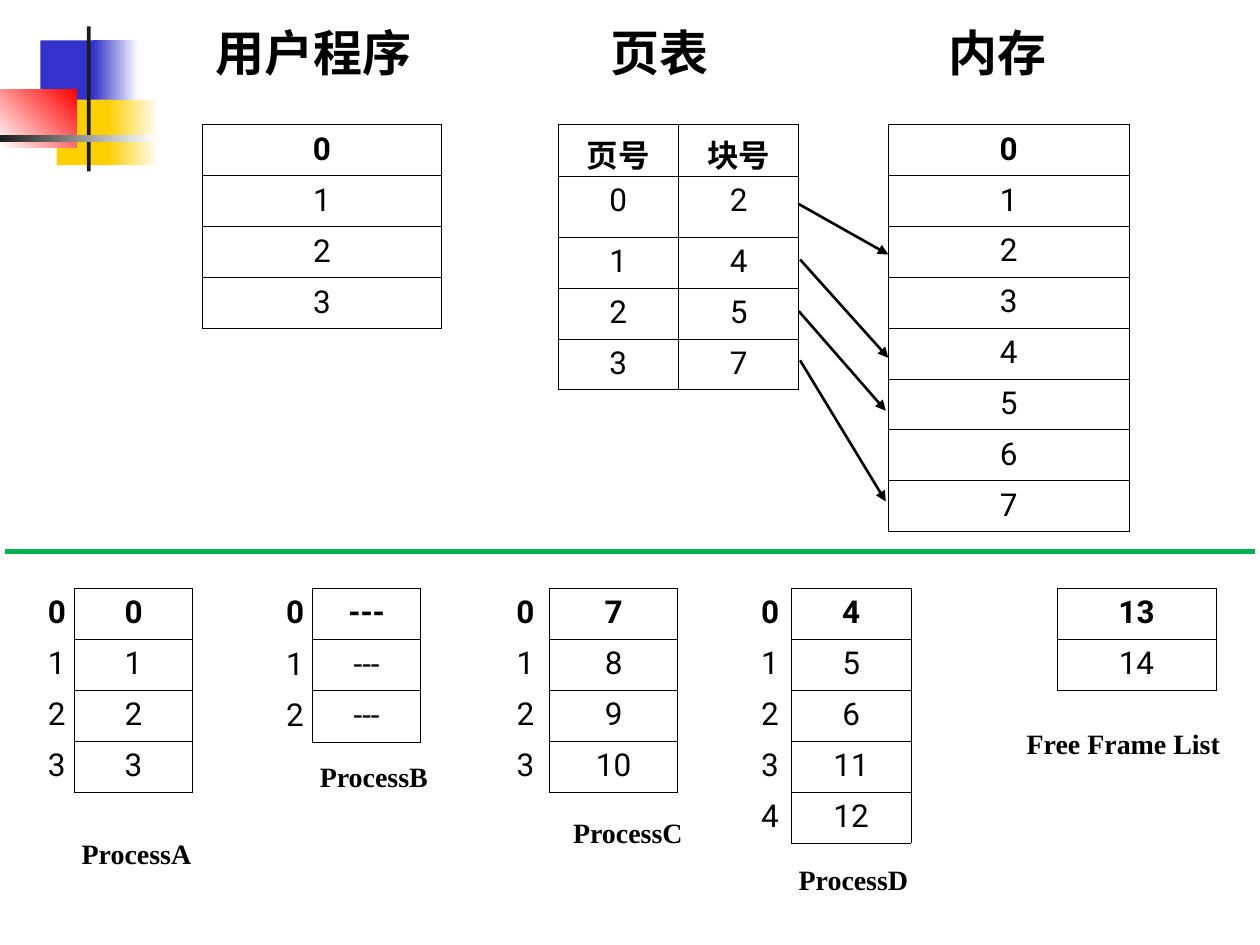
from dataclasses import dataclass

from lxml import etree
from pptx import Presentation
from pptx.dml.color import RGBColor
from pptx.enum.shapes import MSO_CONNECTOR, MSO_SHAPE
from pptx.enum.text import PP_ALIGN
from pptx.oxml.ns import qn
from pptx.util import Inches, Pt

STRAIGHT = MSO_CONNECTOR.STRAIGHT
RECTANGLE = MSO_SHAPE.RECTANGLE
LEFT, CENTER = PP_ALIGN.LEFT, PP_ALIGN.CENTER


@dataclass(frozen=True)
class Theme:
    """Colours, fonts and sizes of the slide."""
    ink: str = "000000"
    white: str = "FFFFFF"
    blue: str = "3333CC"
    yellow: str = "FFCF01"
    red: str = "FF0000"
    charcoal: str = "1C1C1C"
    green: str = "00B050"
    cjk: str = "Noto Sans CJK SC"
    number: str = "Roboto"
    caption: str = "Times New Roman"
    heading_size: int = 28
    cell_size: int = 18
    caption_size: int = 16
    border: float = 0.45
    arrow: float = 1.5
    divider: float = 3


THEME = Theme()


def style_paragraph(paragraph, font_name, size, bold, align):
    """Align a paragraph and format its runs."""
    paragraph.alignment = align
    for run in paragraph.runs:
        run.font.name = font_name
        run.font.size = Pt(size)
        run.font.bold = bold
        run.font.color.rgb = RGBColor.from_string(THEME.ink)
        east_asian = etree.SubElement(run._r.get_or_add_rPr(), qn("a:ea"))
        east_asian.set("typeface", THEME.cjk)


def add_label(slide, box, text, font_name, size, align=LEFT):
    """Place a bold line of text in a box."""
    frame = slide.shapes.add_textbox(*map(Inches, box)).text_frame
    frame.word_wrap = True
    frame.text = text
    style_paragraph(frame.paragraphs[0], font_name, size, True, align)


def set_borders(cell, visible):
    """Draw or clear the four borders of a cell."""
    properties = cell._tc.get_or_add_tcPr()
    for side in ("lnL", "lnR", "lnT", "lnB"):
        line = etree.SubElement(properties, qn(f"a:{side}"))
        if visible:
            line.set("w", str(Pt(THEME.border)))
            fill = etree.SubElement(line, qn("a:solidFill"))
            etree.SubElement(fill, qn("a:srgbClr")).set("val", THEME.ink)
        else:
            etree.SubElement(line, qn("a:noFill"))


def add_grid(slide, box, rows, bordered=True):
    """Fill a box with a table whose first row is bold."""
    table = slide.shapes.add_table(len(rows), len(rows[0]), *map(Inches, box)).table
    table.first_row = table.horz_banding = False
    for row_index, row in enumerate(rows):
        for column_index, value in enumerate(row):
            cell = table.cell(row_index, column_index)
            cell.text_frame.text = str(value)
            style_paragraph(cell.text_frame.paragraphs[0], THEME.number,
                            THEME.cell_size, row_index == 0, CENTER)
            set_borders(cell, bordered)
            cell.fill.background()
    return table


def add_line(slide, start, end, color, width, arrow=False):
    """Draw a straight line, with an arrowhead at its end if asked."""
    connector = slide.shapes.add_connector(STRAIGHT, *map(Inches, (*start, *end)))
    connector.line.color.rgb = RGBColor.from_string(color)
    connector.line.width = Pt(width)
    if arrow:
        head = etree.SubElement(connector.line._get_or_add_ln(), qn("a:tailEnd"))
        head.set("type", "triangle")
    etree.SubElement(connector._element.spPr, qn("a:effectLst"))


def add_ornament(slide, left, top):
    """Build the corner ornament of coloured blocks and bars."""
    blocks = (
        ((0.32, 0.11, 0.48, 0.52), (THEME.blue,), 0),
        ((0.74, 0.11, 0.36, 0.52), (THEME.blue, THEME.white), 0),
        ((0.45, 0.58, 0.46, 0.52), (THEME.yellow,), 0),
        ((0.86, 0.58, 0.4, 0.52), (THEME.yellow, THEME.white), 0),
        ((0, 0.5, 0.61, 0.46), (THEME.white, THEME.red), 45),
        ((0.69, 0, 0.03, 1.15), (THEME.charcoal,), 0),
        ((0, 0.86, 1.22, 0.06), (THEME.charcoal, THEME.white), 0),
    )
    for (x, y, width, height), colors, angle in blocks:
        block = slide.shapes.add_shape(
            RECTANGLE, *map(Inches, (left + x, top + y, width, height)))
        block.shadow.inherit = False
        block.line.fill.background()
        if len(colors) == 1:
            block.fill.solid()
            block.fill.fore_color.rgb = RGBColor.from_string(colors[0])
        else:
            block.fill.gradient()
            block.fill.gradient_angle = angle
            for stop, color in zip(block.fill.gradient_stops, colors):
                stop.color.rgb = RGBColor.from_string(color)


def add_headings(slide, left, top, width, height):
    """Place the three column headings at an equal pitch."""
    headings = (("用户程序", LEFT), ("页表", CENTER), ("内存", CENTER))
    for index, (heading, align) in enumerate(headings):
        add_label(slide, (left + index * 2.68, top, width, height), heading,
                  THEME.cjk, THEME.heading_size, align)


def add_page_table(slide, box):
    """Place the page table with its header and row heights."""
    rows = [("页号", "块号"), (0, 2), (1, 4), (2, 5), (3, 7)]
    page_table = add_grid(slide, box, rows)
    for row, height in zip(page_table.rows, (0.41, 0.48, 0.41, 0.4, 0.4)):
        row.height = Inches(height)
    for column in range(2):
        page_table.cell(0, column).margin_bottom = 0


def add_mapping(slide, top):
    """Show how program pages map through the page table to memory."""
    add_grid(slide, (1.61, top, 1.89, 1.62), [(page,) for page in range(4)])
    add_page_table(slide, (4.43, top, 1.91, 2.09))
    add_grid(slide, (7.05, top, 1.91, 3.23), [(block,) for block in range(8)])
    arrows = (
        ((6.34, 1.62), (7.05, 2.02)),
        ((6.35, 2.06), (7.05, 2.84)),
        ((6.34, 2.47), (7.03, 3.26)),
        ((6.35, 2.86), (7.03, 3.98)),
    )
    for start, end in arrows:
        add_line(slide, start, end, THEME.ink, THEME.arrow, arrow=True)


def add_frames(slide, box, frames, caption, caption_box, index_box=None):
    """Place a captioned frame list, with page indexes if it has them."""
    add_grid(slide, box, [(frame,) for frame in frames])
    if index_box:
        add_grid(slide, index_box, [(page,) for page in range(len(frames))],
                 bordered=False)
    add_label(slide, caption_box, caption, THEME.caption, THEME.caption_size)


def add_processes(slide, top):
    """Place the page tables of the processes and the free frame list."""
    processes = (
        ("ProcessA", (0, 1, 2, 3), 0.59, 0.94, 1.62, (0.28, 0.31), (0.55, 6.59, 1.14)),
        ("ProcessB", ("---",) * 3, 2.48, 0.86, 1.22, (2.17, 0.31), (2.44, 5.98, 1.07)),
        ("ProcessC", (7, 8, 9, 10), 4.36, 1.02, 1.62, (3.97, 0.4), (4.45, 6.42, 1.14)),
        ("ProcessD", (4, 5, 6, 11, 12), 6.28, 0.95, 2.02, (5.94, 0.32), (6.24, 6.8, 1.13)),
        ("Free Frame List", (13, 14), 8.39, 1.26, 0.81, None, (8.05, 5.72, 1.75)),
    )
    for caption, frames, left, width, height, index, caption_place in processes:
        index_box = (index[0], top, index[1], height) if index else None
        add_frames(slide, (left, top, width, height), frames, caption,
                   (*caption_place, 0.37), index_box)


def main():
    """Build and save the slide."""
    deck = Presentation()
    deck.slide_width, deck.slide_height = Inches(10), Inches(7.5)
    slide = deck.slides.add_slide(deck.slide_layouts[6])
    add_ornament(slide, 0, 0.21)
    add_headings(slide, 1.61, 0.13, 1.89, 0.57)
    add_mapping(slide, 0.99)
    add_line(slide, (0.04, 4.38), (9.96, 4.38), THEME.green, THEME.divider)
    add_processes(slide, 4.67)
    deck.save("out.pptx")


if __name__ == "__main__":
    main()
